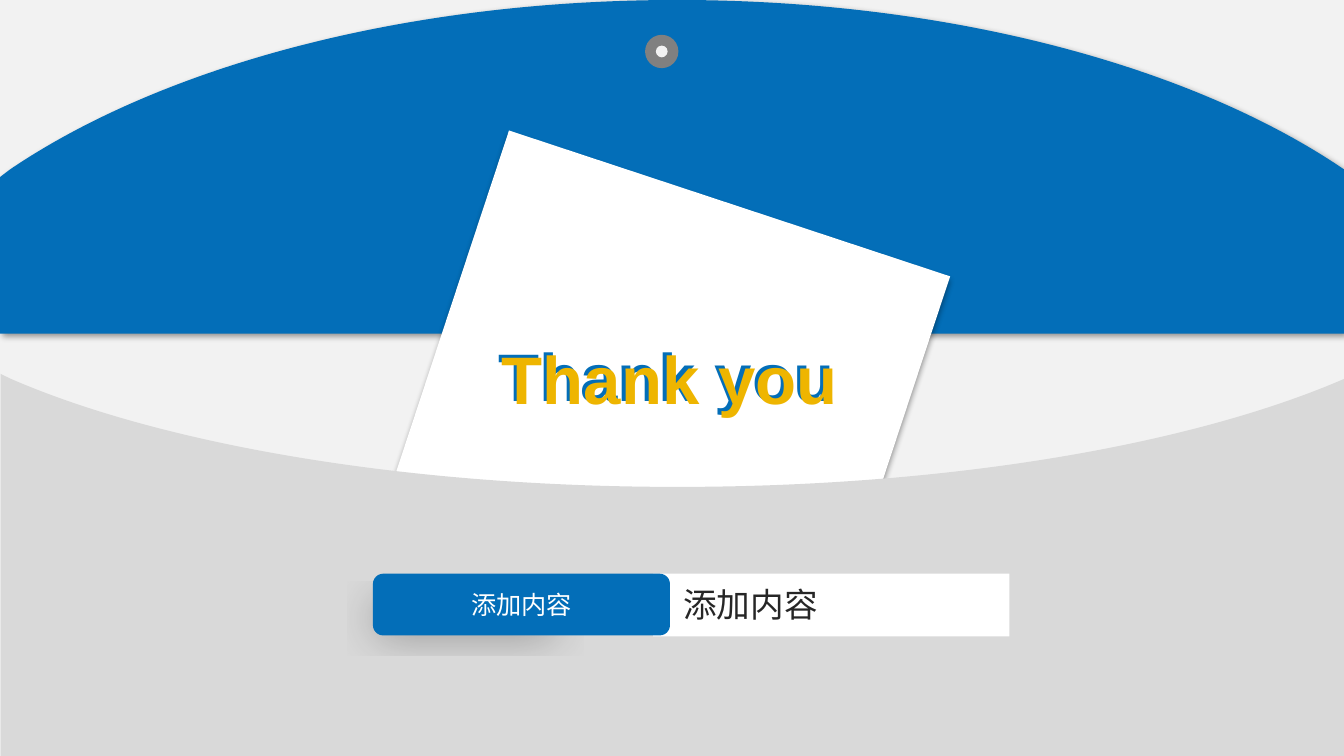
import pptx
import pptx.util
import pptx.dml.color
import pptx.enum.shapes
import pptx.enum.text
import pptx.oxml

Pt = pptx.util.Pt
SHAPES = pptx.enum.shapes.MSO_SHAPE
ALIGN = pptx.enum.text.PP_ALIGN
ANCHOR = pptx.enum.text.MSO_ANCHOR

# Content
CLOSING = "Thank you"
BUTTON_LABEL = "添加内容"
FIELD_TEXT = "添加内容"

THEME = {
    "blue": "036EB8", "gold": "EEB500", "white": "FFFFFF", "ink": "262626",
    "paper": "F2F2F2", "pocket": "D9D9D9", "ring": "808080", "shadow": "000000",
    "latin": "Arial", "chinese": "Noto Sans CJK SC",
    "closing_size": 48, "field_size": 24, "button_size": 18,
}

# Geometry in points; an outline segment has one point (line) or three (cubic curve)
WIDTH, HEIGHT = 960, 540
FLAP_BASE = 238.3
FLAP = [
    [(0, FLAP_BASE)], [(WIDTH, FLAP_BASE)], [(WIDTH, 121)],
    [(851.8, 47.5), (678.2, 0), (483.8, 0)],
    [(288.7, 0), (115.9, 47.5), (7.2, 121)],
    [(0, 126.5)],
]
POCKET = [
    [(0.5, 267.1)], [(7.9, 270.7)],
    [(115.9, 317.5), (289.4, 347.8), (483.8, 347.8)],
    [(679, 347.8), (851.8, 317.5), (WIDTH, 270.7)],
    [(WIDTH, HEIGHT)], [(0.5, HEIGHT)],
]
CARD = (314.7, 138.8, 331.9, 257.8)
CARD_TURN = 18.3
CLASP_CENTER = (472.7, 36.8)
CLASP_RINGS = [(23.8, "ring"), (8.4, "paper")]
CLOSING_BOX = (351.3, 237.2, 258.5, 65.4)
CLOSING_OFFSET = 2.2
FIELD = (466.6, 409.8, 254.4, 44.8)
FIELD_BOX = (481, 413.5, 226, 36)
BUTTON = (266.4, 409.8, 212.2, 44.1)

presentation = pptx.Presentation()
presentation.slide_width, presentation.slide_height = Pt(WIDTH), Pt(HEIGHT)
slide = presentation.slides.add_slide(presentation.slide_layouts[5])


def color(name):
    return pptx.dml.color.RGBColor.from_string(THEME[name])


def paint(shape, fill):
    shape.shadow.inherit = False
    shape.fill.solid()
    shape.fill.fore_color.rgb = color(fill)
    shape.line.fill.background()
    return shape


def add_shape(kind, box, fill, parent=slide):
    return paint(parent.shapes.add_shape(kind, *map(Pt, box)), fill)


def add_outline(segments, fill):
    """Build a freeform, then turn each three-point segment into one curve."""
    points = [(Pt(x), Pt(y)) for segment in segments for x, y in segment]
    builder = slide.shapes.build_freeform(*points[0], scale=1.0)
    builder.add_line_segments(points[1:], close=True)
    shape = builder.convert_to_shape()
    lines = iter(shape._element.findall(".//" + pptx.oxml.ns.qn("a:lnTo")))
    for segment in segments[1:]:
        steps = [next(lines) for _ in segment]
        if len(steps) == 3:
            curve = pptx.oxml.parse_xml(f'<a:cubicBezTo {pptx.oxml.ns.nsdecls("a")}/>')
            steps[0].addprevious(curve)
            for step in steps:
                curve.append(step[0])
                step.getparent().remove(step)
    return paint(shape, fill)


def add_shadow(shape, blur, distance, angle, scale=""):
    effects = shape._element.spPr.find(pptx.oxml.ns.qn("a:effectLst"))
    effects.append(pptx.oxml.parse_xml(
        f'<a:outerShdw {pptx.oxml.ns.nsdecls("a")} blurRad="{Pt(blur)}" '
        f'dist="{Pt(distance)}" dir="{angle * 60000}" {scale} rotWithShape="0">'
        f'<a:srgbClr val="{THEME["shadow"]}"><a:alpha val="40000"/></a:srgbClr>'
        '</a:outerShdw>'))


def set_text(shape, text, font, align=ALIGN.LEFT, anchor=ANCHOR.TOP):
    frame = shape.text_frame
    frame.word_wrap = True
    frame.auto_size = pptx.enum.text.MSO_AUTO_SIZE.NONE
    frame.vertical_anchor = anchor
    frame.text = text
    paragraph = frame.paragraphs[0]
    paragraph.alignment = align
    run = paragraph.runs[0]
    values = {"name": font["name"], "size": Pt(font["size"]), "bold": font.get("bold", False)}
    for attribute, value in values.items():
        setattr(run.font, attribute, value)
    run.font.color.rgb = color(font["color"])


# Background
slide.background.fill.solid()
slide.background.fill.fore_color.rgb = color("paper")

# Envelope flap, card and pocket
flap = add_outline(FLAP, "blue")
add_shadow(flap, 4, 3, 45)
card = add_shape(SHAPES.RECTANGLE, CARD, "white")
card.rotation = CARD_TURN
add_shadow(card, 4, 3, 90)
add_outline(POCKET, "pocket")

# Closing words: blue underlay, gold title on top
left, top, width, height = CLOSING_BOX
underlay = slide.shapes.add_textbox(
    *map(Pt, (left - CLOSING_OFFSET, top - CLOSING_OFFSET, width, height)))
title = slide.shapes.title
title.left, title.top, title.width, title.height = map(Pt, CLOSING_BOX)
slide.shapes._spTree.append(title._element)
for shape, tint in ((underlay, "blue"), (title, "gold")):
    set_text(shape, CLOSING, {"name": THEME["latin"], "size": THEME["closing_size"],
                              "color": tint, "bold": True})

# Clasp
clasp = slide.shapes.add_group_shape()
for diameter, fill in CLASP_RINGS:
    corner = [center - diameter / 2 for center in CLASP_CENTER]
    add_shape(SHAPES.OVAL, (*corner, diameter, diameter), fill, clasp)

# Field and button
add_shape(SHAPES.RECTANGLE, FIELD, "white")
field_box = slide.shapes.add_textbox(*map(Pt, FIELD_BOX))
set_text(field_box, FIELD_TEXT, {"name": THEME["chinese"], "size": THEME["field_size"],
                                 "color": "ink"})
button = add_shape(SHAPES.ROUNDED_RECTANGLE, BUTTON, "blue")
add_shadow(button, 34, 3, 315, 'sx="60000" sy="47000" algn="bl"')
set_text(button, BUTTON_LABEL, {"name": THEME["latin"], "size": THEME["button_size"],
                                "color": "white"}, ALIGN.CENTER, ANCHOR.MIDDLE)

presentation.save("out.pptx")
